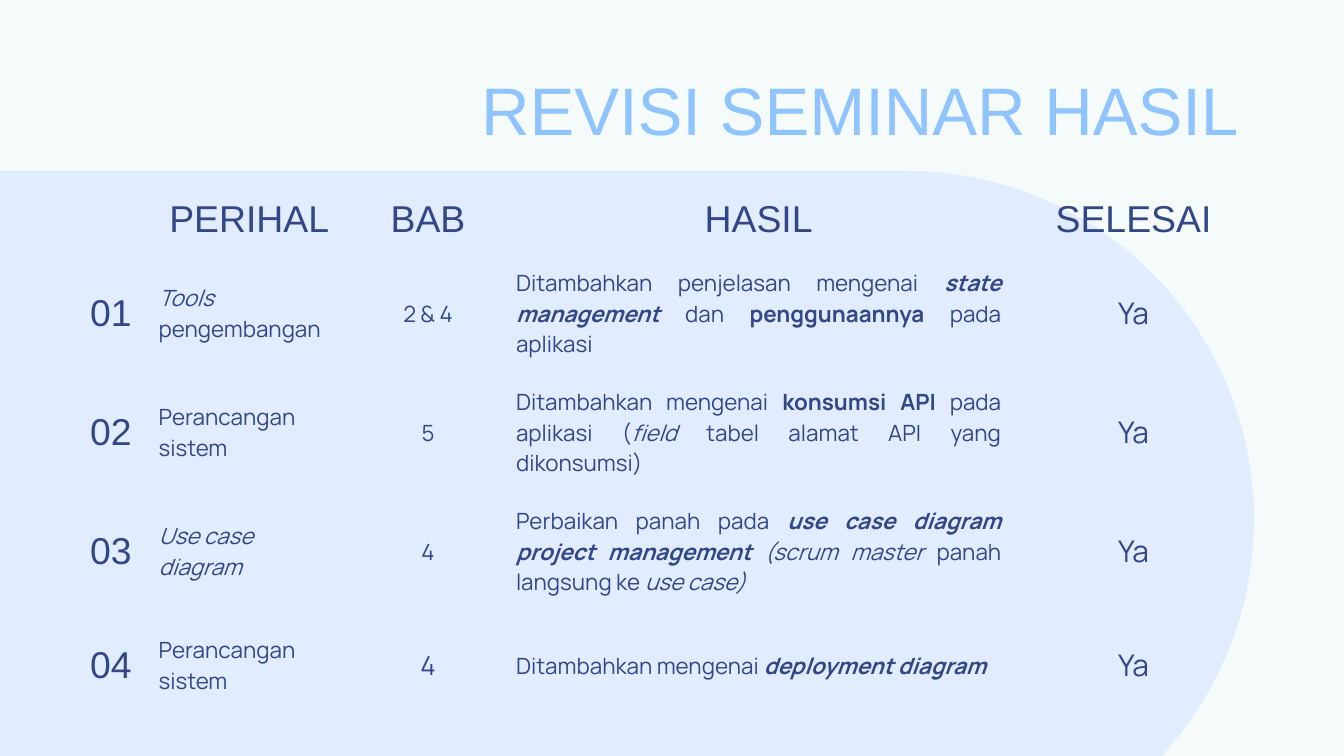
"""Build the seminar revision slide with its table of revised points."""
from dataclasses import dataclass
from typing import NamedTuple

from pptx import Presentation
from pptx.dml.color import RGBColor
from pptx.enum.shapes import MSO_SHAPE
from pptx.enum.text import MSO_ANCHOR, MSO_AUTO_SIZE, PP_ALIGN
from pptx.util import Inches, Pt

SLIDE_WIDTH = 10
SLIDE_HEIGHT = SLIDE_WIDTH * 9 / 16
BACKGROUND, PANEL, SKY, NAVY = "F5FBFB", "E2ECFF", "90C4FE", "324788"
PANEL_RIGHT, PANEL_TOP, PANEL_THICKNESS = 9.33, 1.27, 5.19
TABLE_TOP = 0.88
COLUMN_WIDTHS = [1.08, 1.55, 1.11, 3.81, 1.77]
HEADER_HEIGHT, ROW_HEIGHT = 1.01, 0.81
HEADINGS = ["", "PERIHAL", "BAB", "HASIL", "SELESAI"]
NO_STYLE_NO_GRID = "{2D5ABB26-0587-4C30-8999-92F81FD0307C}"


class Run(NamedTuple):
    """A stretch of text with its emphasis."""
    text: str
    bold: bool = False
    italic: bool = False


@dataclass
class TextStyle:
    """Font and alignment of one kind of text."""
    size: float
    font: str
    align: PP_ALIGN
    color: str = NAVY


@dataclass
class Revision:
    """One revised point of the seminar."""
    subject: list[Run]
    chapter: str
    result: list[Run]
    chapter_size: float = 12


HEADING = TextStyle(20, "Arial", PP_ALIGN.CENTER)
NUMBER = TextStyle(20, "Arial", PP_ALIGN.RIGHT)
SUBJECT = TextStyle(12, "Manrope", PP_ALIGN.LEFT)
RESULT = TextStyle(12, "Manrope", PP_ALIGN.JUSTIFY)
STATUS = TextStyle(16, "Manrope", PP_ALIGN.CENTER)
TITLE = TextStyle(36, "Arial", PP_ALIGN.RIGHT, SKY)

REVISIONS = [
    Revision(
        [Run("Tools ", italic=True), Run("pengembangan")],
        "2 & 4",
        [Run("Ditambahkan penjelasan mengenai "), Run("state management ", True, True),
         Run("dan "), Run("penggunaannya", True), Run(" pada aplikasi")],
    ),
    Revision(
        [Run("Perancangan sistem")],
        "5",
        [Run("Ditambahkan mengenai "), Run("konsumsi API", True), Run(" pada aplikasi ("),
         Run("field ", italic=True), Run("tabel alamat API yang dikonsumsi)")],
    ),
    Revision(
        [Run("Use case diagram", italic=True)],
        "4",
        [Run("Perbaikan panah pada "), Run("use case diagram project management", True, True),
         Run(" (scrum master ", italic=True), Run("panah langsung ke"),
         Run(" use case)", italic=True)],
    ),
    Revision(
        [Run("Perancangan sistem")],
        "4",
        [Run("Ditambahkan mengenai "), Run("deployment diagram", True, True)],
        chapter_size=14,
    ),
]


def color(value: str) -> RGBColor:
    """Turn a hex string into a colour."""
    return RGBColor.from_string(value)


def apply(target, formats: dict) -> None:
    """Set every attribute named in the dict."""
    for name, value in formats.items():
        setattr(target, name, value)


def write(text_frame, runs: list[Run], style: TextStyle) -> None:
    """Write one paragraph of styled runs."""
    paragraph = text_frame.paragraphs[0]
    paragraph.alignment = style.align
    for part in runs:
        run = paragraph.add_run()
        run.text = part.text
        apply(run.font, {"size": Pt(style.size), "name": style.font,
                         "bold": part.bold, "italic": part.italic})
        run.font.color.rgb = color(style.color)


def margins() -> dict:
    """Give the inner margins of a cell or text box."""
    return {f"margin_{side}": Inches(0.1) for side in ("left", "top", "right", "bottom")}


def fill_cell(cell, runs: list[Run], style: TextStyle, anchor: MSO_ANCHOR) -> None:
    """Format one table cell and write its text."""
    cell.fill.background()
    apply(cell, {**margins(), "vertical_anchor": anchor})
    if runs:
        write(cell.text_frame, runs, style)


def add_panel(slide) -> None:
    """Add the rounded panel, turned so that its round end faces right."""
    left = (PANEL_RIGHT - PANEL_THICKNESS) / 2
    top = PANEL_TOP + (PANEL_THICKNESS - PANEL_RIGHT) / 2
    panel = slide.shapes.add_shape(
        MSO_SHAPE.ROUND_2_SAME_RECTANGLE, Inches(left), Inches(top),
        Inches(PANEL_THICKNESS), Inches(PANEL_RIGHT))
    panel.rotation = 90
    panel.adjustments[0], panel.adjustments[1] = 0.5, 0
    panel.shadow.inherit = False
    panel.fill.solid()
    panel.fill.fore_color.rgb = color(PANEL)
    panel.line.fill.background()


def add_revision_table(slide) -> None:
    """Add the table of numbered revisions."""
    heights = [HEADER_HEIGHT] + [ROW_HEIGHT] * len(REVISIONS)
    frame = slide.shapes.add_table(
        len(heights), len(COLUMN_WIDTHS), 0, Inches(TABLE_TOP),
        Inches(sum(COLUMN_WIDTHS)), Inches(sum(heights)))
    table = frame.table
    apply(table, {"first_row": False, "horz_banding": False})
    table._tbl.tblPr[0].text = NO_STYLE_NO_GRID
    for column, width in zip(table.columns, COLUMN_WIDTHS):
        column.width = Inches(width)
    for row, height in zip(table.rows, heights):
        row.height = Inches(height)
    for column, heading in enumerate(HEADINGS):
        runs = [Run(heading)] if heading else []
        fill_cell(table.cell(0, column), runs, HEADING, MSO_ANCHOR.BOTTOM)
    for row, revision in enumerate(REVISIONS, start=1):
        chapter = TextStyle(revision.chapter_size, "Manrope", PP_ALIGN.CENTER)
        contents = [([Run(f"{row:02d}")], NUMBER), (revision.subject, SUBJECT),
                    ([Run(revision.chapter)], chapter), (revision.result, RESULT),
                    ([Run("Ya")], STATUS)]
        for column, (runs, style) in enumerate(contents):
            fill_cell(table.cell(row, column), runs, style, MSO_ANCHOR.MIDDLE)


def place_title(slide) -> None:
    """Move and format the title placeholder in front of the table."""
    title = slide.shapes.title
    apply(title, {"left": Inches(3.24), "top": Inches(0.38),
                  "width": Inches(6.08), "height": Inches(0.93)})
    apply(title.text_frame, {**margins(), "word_wrap": True,
                             "auto_size": MSO_AUTO_SIZE.NONE,
                             "vertical_anchor": MSO_ANCHOR.MIDDLE})
    write(title.text_frame, [Run("REVISI SEMINAR HASIL")], TITLE)
    title.text_frame.paragraphs[0].line_spacing = 0.9
    slide.shapes._spTree.append(title._element)


def main() -> None:
    """Build and save the presentation."""
    presentation = Presentation()
    apply(presentation, {"slide_width": Inches(SLIDE_WIDTH),
                         "slide_height": Inches(SLIDE_HEIGHT)})
    slide = presentation.slides.add_slide(presentation.slide_layouts.get_by_name("Title Only"))
    slide.background.fill.solid()
    slide.background.fill.fore_color.rgb = color(BACKGROUND)
    add_panel(slide)
    add_revision_table(slide)
    place_title(slide)
    presentation.save("out.pptx")


if __name__ == "__main__":
    main()
